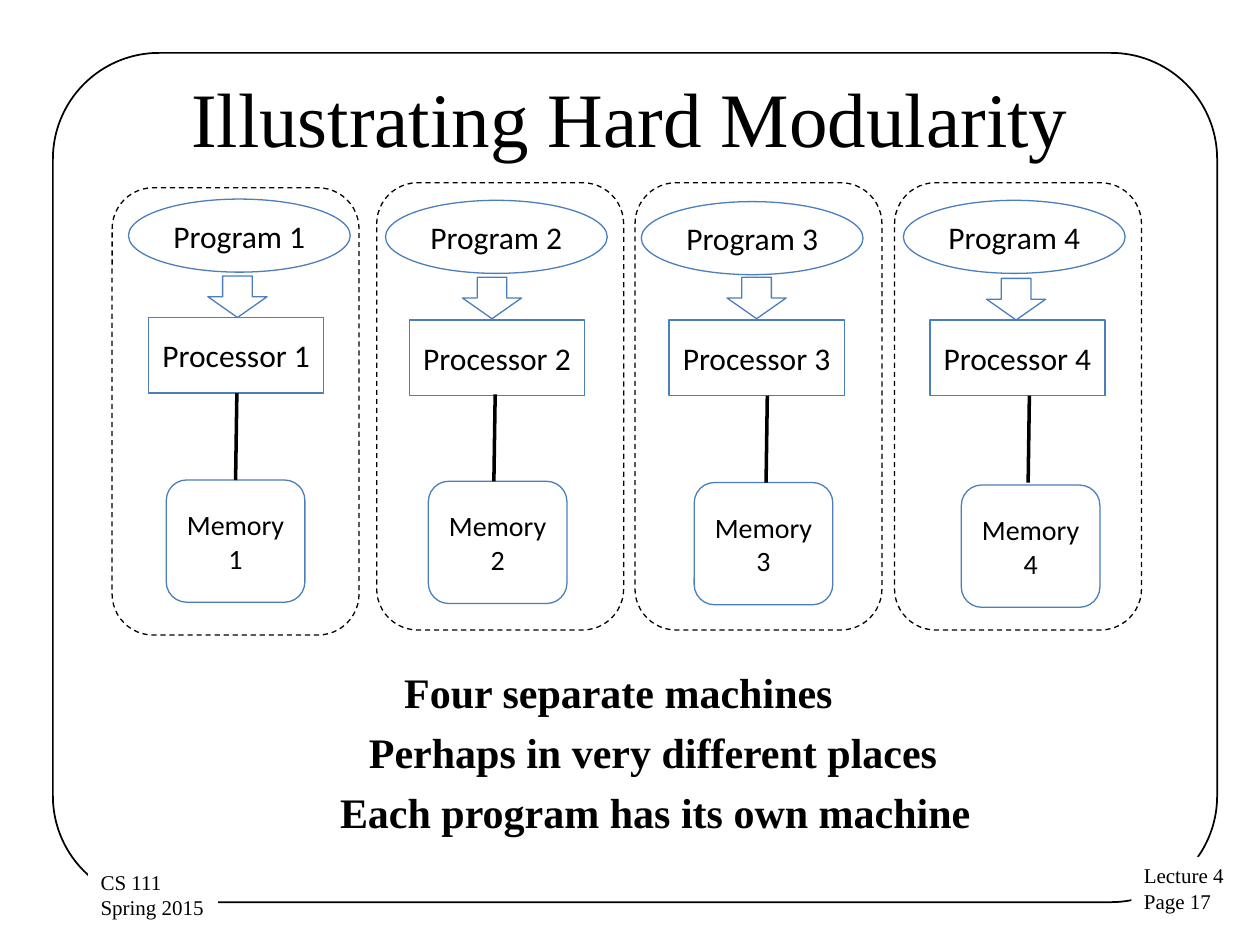
import pptx
import pptx.util
import pptx.dml.color
import pptx.enum.dml
import pptx.enum.shapes
import pptx.enum.text
import pptx.oxml.ns
import lxml.etree

COLUMNS, ROWS = 100, 75
WIDTH, HEIGHT = pptx.util.Inches(10), pptx.util.Inches(7.5)
COLORS = {"ink": "000000", "paper": "FFFFFF", "outline": "4B7EBC"}
SERIF, SANS = "Times New Roman", "Calibri"
FORMS = pptx.enum.shapes.MSO_SHAPE
ALIGN = pptx.enum.text.PP_ALIGN
ANCHOR = pptx.enum.text.MSO_ANCHOR


def color(name):
    return pptx.dml.color.RGBColor.from_string(COLORS[name])


def col(count):
    return round(WIDTH * count / COLUMNS)


def row(count):
    return round(HEIGHT * count / ROWS)


def box(left, top, width, height):
    return col(left), row(top), col(width), row(height)


def write(holder, text, size, font, align=ALIGN.LEFT, anchor=ANCHOR.TOP,
          bold=False, wrap=True):
    frame = holder.text_frame
    frame.text = text
    frame.word_wrap = wrap
    frame.vertical_anchor = anchor
    for paragraph in frame.paragraphs:
        paragraph.alignment = align
        for run in paragraph.runs:
            run.font.size = pptx.util.Pt(size)
            run.font.name = font
            run.font.bold = bold
            run.font.color.rgb = color("ink")


def add_form(slide, form, place, line=None, weight=0.75, fill=None, dashed=False):
    outline = slide.shapes.add_shape(form, *box(*place))
    outline.shadow.inherit = False
    if fill:
        outline.fill.solid()
        outline.fill.fore_color.rgb = color(fill)
    else:
        outline.fill.background()
    if line:
        outline.line.color.rgb = color(line)
        outline.line.width = pptx.util.Pt(weight)
    else:
        outline.line.fill.background()
    if dashed:
        outline.line.dash_style = pptx.enum.dml.MSO_LINE.DASH
    return outline


def add_label(slide, form, place, text, size):
    part = add_form(slide, form, place, "outline")
    write(part, text, size, SANS, ALIGN.CENTER, ANCHOR.MIDDLE)


def add_corner_note(slide, place, text):
    note = add_form(slide, FORMS.RECTANGLE, place, fill="paper")
    write(note, text, 12, SERIF, wrap=False)


def add_words(slide, place, text, size, **style):
    words = slide.shapes.add_textbox(*box(*place))
    write(words, text, size, SERIF, **style)


def add_link(slide, left, top):
    link = slide.shapes.add_connector(
        pptx.enum.shapes.MSO_CONNECTOR.STRAIGHT,
        col(left), row(top), col(left - 0.1), row(top + 6.9))
    link.line.color.rgb = color("ink")
    link.line.width = pptx.util.Pt(2)
    properties = link._element.spPr
    lxml.etree.SubElement(properties, pptx.oxml.ns.qn("a:effectLst"))


def add_page_frame(slide):
    border = add_form(slide, FORMS.ROUNDED_RECTANGLE, (4.2, 4.2, 92.4, 67.4), "ink", 1)
    border.adjustments[0] = 0.125
    add_corner_note(slide, (89.8, 68, 8.5, 5.1), "Lecture 4\nPage 17")
    add_corner_note(slide, (7, 68.5, 10.3, 5.1), "CS 111\nSpring 2015 ")


def add_machines(slide):
    labelled = (
        ("Processor", FORMS.RECTANGLE, 18, (13.9, 6),
         ((11.8, 25.2), (32.5, 25.4), (53.1, 25.4), (73.8, 25.4))),
        ("Program", FORMS.OVAL, 18, (17.6, 5.8),
         ((10.2, 15.8), (30.6, 15.9), (50.9, 16), (71.7, 15.9))),
        ("Memory", FORMS.ROUNDED_RECTANGLE, 16, (11, 9.7),
         ((13.2, 38.1), (34, 38.2), (55.1, 38.3), (76.3, 38.5))),
    )
    for name, form, size, extent, corners in labelled:
        for number, corner in enumerate(corners, 1):
            add_label(slide, form, corner + extent, f"{name} {number}", size)
    for corner in ((16.5, 21.9), (36.7, 22), (57.7, 22), (78.3, 22.1)):
        add_form(slide, FORMS.DOWN_ARROW, corner + (4.7, 3.3), "outline", fill="paper")
    for corner in ((8.9, 14.9), (29.9, 14.5), (50.4, 14.5), (71, 14.5)):
        add_form(slide, FORMS.ROUNDED_RECTANGLE, corner + (19.6, 35.5), "ink", dashed=True)
    for start in ((18.8, 31.2), (39.3, 31.3), (60.9, 31.4), (81.7, 31.4)):
        add_link(slide, *start)


def add_remarks(slide):
    remarks = (
        (31.1, 36.4, "Four separate machines"),
        (28.3, 47.6, "Perhaps in very different places"),
        (26, 52.5, "Each program has its own machine"),
    )
    for index, (left, width, text) in enumerate(remarks):
        add_words(slide, (left, 52.4 + 4.75 * index, width, 5), text, 24,
                  bold=True, wrap=False)


def main():
    deck = pptx.Presentation()
    deck.slide_width, deck.slide_height = WIDTH, HEIGHT
    slide = deck.slides.add_slide(deck.slide_layouts[6])
    add_page_frame(slide)
    add_words(slide, (5, 3, 90, 12.5), "Illustrating Hard Modularity", 44,
              align=ALIGN.CENTER, anchor=ANCHOR.MIDDLE)
    add_machines(slide)
    add_remarks(slide)
    deck.save("out.pptx")


main()
